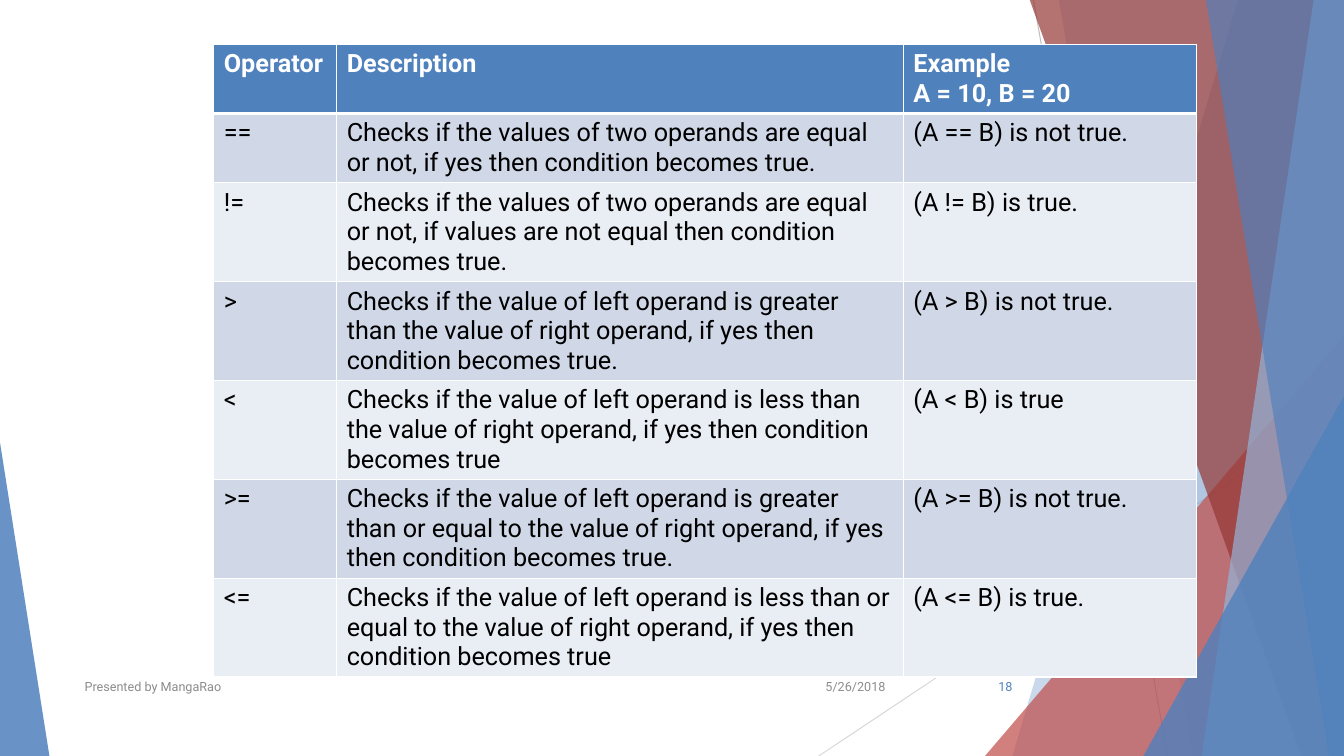
from dataclasses import dataclass

from lxml.etree import SubElement
from pptx import Presentation
from pptx.dml.color import RGBColor
from pptx.enum.shapes import MSO_CONNECTOR as Connector, MSO_SHAPE as Preset
from pptx.enum.text import MSO_ANCHOR as Anchor, PP_ALIGN as Align
from pptx.oxml.ns import qn
from pptx.util import Inches, Pt

HEADER = ("Operator", "Description", "Example\nA = 10, B = 20")
OPERATORS = [
    ("==", "Checks if the values of two operands are equal or not, "
           "if yes then condition becomes true.", "(A == B) is not true."),
    ("!=", "Checks if the values of two operands are equal or not, "
           "if values are not equal then condition becomes true.", "(A != B) is true."),
    (">", "Checks if the value of left operand is greater than the value of "
          "right operand, if yes then condition becomes true.", "(A > B) is not true."),
    ("<", "Checks if the value of left operand is less than the value of "
          "right operand, if yes then condition becomes true", "(A < B) is true"),
    (">=", "Checks if the value of left operand is greater than or equal to the value of "
           "right operand, if yes then condition becomes true.", "(A >= B) is not true."),
    ("<=", "Checks if the value of left operand is less than or equal to the value of "
           "right operand, if yes then condition becomes true", "(A <= B) is true."),
]
ROW_LINES = (2, 2, 3, 3, 3, 3, 3)
COLUMNS = (1.22, 5.62, 2.91)
TABLE_LEFT, TABLE_TOP = 2.12, 0.44
LINE_HEIGHT, CELL_PADDING = 0.29, 0.1


@dataclass(frozen=True)
class Theme:
    font: str = "Roboto"
    table_size: int = 18
    footer_size: int = 9
    white: str = "FFFFFF"
    black: str = "000000"
    blue: str = "4F81BD"
    light_blue: str = "95B3D7"
    red: str = "C0504D"
    dark_red: str = "953735"
    bands: tuple = ("D0D8E8", "E9EDF4")
    grey: str = "8C8C8C"


THEME = Theme()
WIDTH, HEIGHT = 13.33, 7.5

# Start, end, colour
RULES = [
    ((10.25, 0), (11.58, HEIGHT), "BFBFBF"),
    ((WIDTH, 4.03), (8.12, HEIGHT), "D9D9D9"),
]
# Back to front. Shard: x of its slanted edge at top and bottom.
# Wedge: left, width, height, side of its apex (0 left, 1 right).
FACETS = [
    ("shard", (12.28, 10.04), THEME.blue, 30),
    ("shard", (10.5, 11.83), THEME.blue, 20),
    ("wedge", (9.77, 3.56, 4.17, 1), THEME.red, 72),
    ("shard", (10.21, 12.91), THEME.dark_red, 70),
    ("shard", (13.03, 11.92), THEME.light_blue, 70),
    ("shard", (11.96, 13.18), THEME.blue, 65),
    ("wedge", (11.34, 1.99, 3.57, 1), THEME.blue, 80),
    ("wedge", (0, 0.49, 3.11, 0), THEME.blue, 85),
]
# Text, left, width, alignment, colour
FOOTERS = [
    ("5/26/2018", 7.88, 1, Align.RIGHT, THEME.grey),
    ("Presented by MangaRao", 0.74, 6.89, Align.LEFT, THEME.grey),
    ("18", 9.39, 0.75, Align.RIGHT, THEME.blue),
]
FOOTER_TOP, FOOTER_HEIGHT = 6.61, 0.4


def rgb(code):
    return RGBColor.from_string(code)


def style_text(frame, colour, **formats):
    for paragraph in frame.paragraphs:
        font = paragraph.font
        for key, value in {"name": THEME.font, **formats}.items():
            setattr(font, key, value)
        font.color.rgb = rgb(colour)


def add_rule(shapes, start, end, colour):
    rule = shapes.add_connector(Connector.STRAIGHT, *map(Inches, start + end))
    rule.line.color.rgb = rgb(colour)
    rule.line.width = Pt(0.75)
    SubElement(rule.element.spPr, qn("a:effectLst"))


def add_shard(shapes, top_x, bottom_x):
    """Outline from a slanted left edge to the slide's right edge."""
    corners = [(top_x, -0.01), (WIDTH, -0.01), (WIDTH, HEIGHT), (bottom_x, HEIGHT)]
    first, *others = [tuple(map(Inches, corner)) for corner in corners]
    builder = shapes.build_freeform(*first)
    builder.add_line_segments(others, close=True)
    return builder.convert_to_shape()


def add_wedge(shapes, left, width, height, apex):
    """Triangle standing on the slide's bottom edge."""
    box = map(Inches, (left, HEIGHT - height, width, height))
    wedge = shapes.add_shape(Preset.ISOSCELES_TRIANGLE, *box)
    wedge.adjustments[0] = apex
    return wedge


def paint_facet(facet, colour, opacity):
    facet.shadow.inherit = False
    facet.line.fill.background()
    facet.fill.solid()
    facet.fill.fore_color.rgb = rgb(colour)
    colour_tag = next(facet.element.spPr.iter(qn("a:srgbClr")))
    SubElement(colour_tag, qn("a:alpha"), val=str(opacity * 1000))


def add_borders(cell, is_header, is_below_header):
    """White cell borders, thicker under the header; they come before the fill."""
    widths = {"L": 1, "R": 1, "T": 3 if is_below_header else 1, "B": 3 if is_header else 1}
    properties = cell._tc.get_or_add_tcPr()
    for side, width in widths.items():
        border = SubElement(properties, qn(f"a:ln{side}"), w=str(Pt(width)))
        fill = SubElement(border, qn("a:solidFill"))
        SubElement(fill, qn("a:srgbClr"), val=THEME.white)


def add_operator_table(shapes):
    rows = [HEADER, *OPERATORS]
    heights = [lines * LINE_HEIGHT + CELL_PADDING for lines in ROW_LINES]
    box = map(Inches, (TABLE_LEFT, TABLE_TOP, sum(COLUMNS), sum(heights)))
    table = shapes.add_table(len(rows), len(COLUMNS), *box).table
    for column, width in zip(table.columns, COLUMNS):
        column.width = Inches(width)
    for r, (row, height) in enumerate(zip(rows, heights)):
        table.rows[r].height = Inches(height)
        is_header = r == 0
        for c, words in enumerate(row):
            cell = table.cell(r, c)
            cell.text = words
            style_text(cell.text_frame, THEME.white if is_header else THEME.black,
                       size=Pt(THEME.table_size), bold=is_header)
            add_borders(cell, is_header, r == 1)
            cell.fill.solid()
            cell.fill.fore_color.rgb = rgb(THEME.blue if is_header else THEME.bands[(r - 1) % 2])


def add_footer(shapes, words, left, width, alignment, colour):
    box = map(Inches, (left, FOOTER_TOP, width, FOOTER_HEIGHT))
    frame = shapes.add_textbox(*box).text_frame
    frame.word_wrap = True
    frame.vertical_anchor = Anchor.MIDDLE
    frame.text = words
    frame.paragraphs[0].alignment = alignment
    style_text(frame, colour, size=Pt(THEME.footer_size))


def main():
    deck = Presentation()
    deck.slide_width, deck.slide_height = Inches(WIDTH), Inches(HEIGHT)
    shapes = deck.slides.add_slide(deck.slide_layouts[6]).shapes
    for rule in RULES:
        add_rule(shapes, *rule)
    makers = {"shard": add_shard, "wedge": add_wedge}
    for kind, geometry, colour, opacity in FACETS:
        paint_facet(makers[kind](shapes, *geometry), colour, opacity)
    add_operator_table(shapes)
    for footer in FOOTERS:
        add_footer(shapes, *footer)
    deck.save("out.pptx")


if __name__ == "__main__":
    main()
